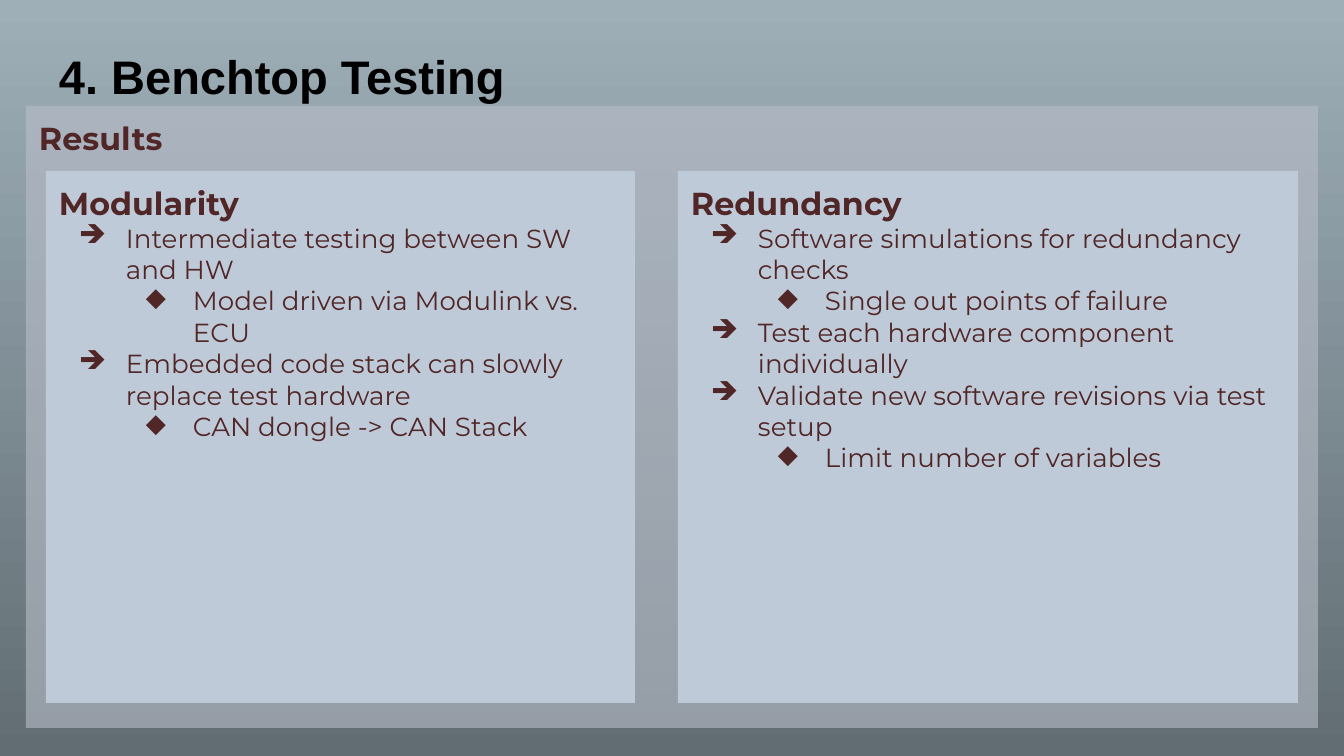
"""Build the benchtop testing results slide."""
from lxml import etree
from pptx import Presentation
from pptx.dml.color import RGBColor
from pptx.enum.shapes import MSO_SHAPE
from pptx.enum.text import MSO_ANCHOR, PP_ALIGN
from pptx.oxml.ns import qn
from pptx.util import Emu, Pt

PX = 914400 / 134.4
BLACK = RGBColor(0x00, 0x00, 0x00)
MAROON = RGBColor(0x50, 0x26, 0x26)
PANEL = RGBColor(0xB8, 0xBD, 0xC9)
CARD = RGBColor(0xBF, 0xCA, 0xD9)
SKY = RGBColor(0x9E, 0xAF, 0xB8)
SLATE = RGBColor(0x61, 0x6D, 0x73)
HEADING = dict(name="Montserrat", size=Pt(17), bold=True)
BODY = dict(name="Montserrat", size=Pt(14), bold=False)
TITLE = dict(name="Arial", size=Pt(25.2), bold=True)
BULLETS = ["➔", "◆"]
CARDS = [
    (46, 589, "Modularity", [
        (0, "Intermediate testing between SW and HW"),
        (1, "Model driven via Modulink vs. ECU"),
        (0, "Embedded code stack can slowly replace test hardware"),
        (1, "CAN dongle -> CAN Stack"),
    ]),
    (678, 620, "Redundancy", [
        (0, "Software simulations for redundancy checks"),
        (1, "Single out points of failure"),
        (0, "Test each hardware component individually"),
        (0, "Validate new software revisions via test setup"),
        (1, "Limit number of variables"),
    ]),
]


def px(n):
    return Emu(round(n * PX))


def write(tf, p, text, style, color, anchor=MSO_ANCHOR.TOP):
    tf.word_wrap = True
    tf.vertical_anchor = anchor
    for side in ("left", "top", "right", "bottom"):
        setattr(tf, f"margin_{side}", px(13))
    p.alignment = PP_ALIGN.LEFT
    r = p.add_run()
    r.text = text
    for key, value in style.items():
        setattr(r.font, key, value)
    r.font.color.rgb = color


prs = Presentation()
prs.slide_width, prs.slide_height = px(1344), px(756)
s = prs.slides.add_slide(prs.slide_layouts[6])

bg = s.background.fill
bg.gradient()
bg.gradient_angle = 270
for stop, color in zip(bg.gradient_stops, (SKY, SLATE)):
    stop.color.rgb = color

boxes = [(26, 106, 1292, 622, PANEL, "Results", [])]
boxes += [(x, 171, w, 532, CARD, head, items) for x, w, head, items in CARDS]
for x, y, w, h, color, head, items in boxes:
    sp = s.shapes.add_shape(MSO_SHAPE.RECTANGLE, px(x), px(y), px(w), px(h))
    sp.shadow.inherit = False
    sp.fill.solid()
    sp.fill.fore_color.rgb = color
    sp.line.fill.background()
    if color == PANEL:
        clr = sp.fill._xPr.find(".//" + qn("a:srgbClr"))
        etree.SubElement(clr, qn("a:alpha"), val="60000")
    tf = sp.text_frame
    write(tf, tf.paragraphs[0], head, HEADING, MAROON)
    for level, text in items:
        p = tf.add_paragraph()
        p.level = level
        pPr = p._p.get_or_add_pPr()
        pPr.set("marL", str(px(67 * (level + 1))))
        pPr.set("indent", str(px(-47)))
        buClr = etree.SubElement(pPr, qn("a:buClr"))
        etree.SubElement(buClr, qn("a:srgbClr"), val=str(MAROON))
        etree.SubElement(pPr, qn("a:buChar"), char=BULLETS[level])
        write(tf, p, text, BODY, MAROON)

sp = s.shapes.add_textbox(px(46), px(32), px(1253), px(85))
tf = sp.text_frame
write(tf, tf.paragraphs[0], "4. Benchtop Testing", TITLE, BLACK, MSO_ANCHOR.BOTTOM)

prs.save("out.pptx")
